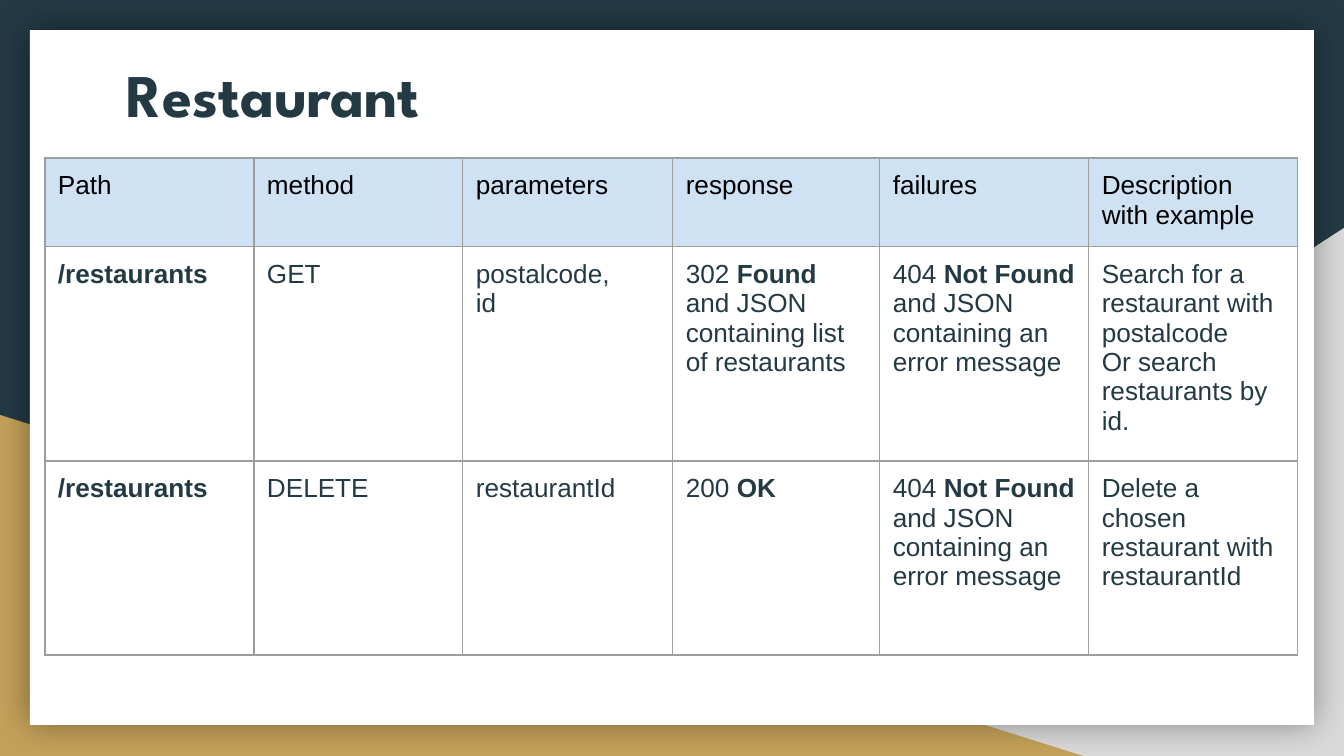
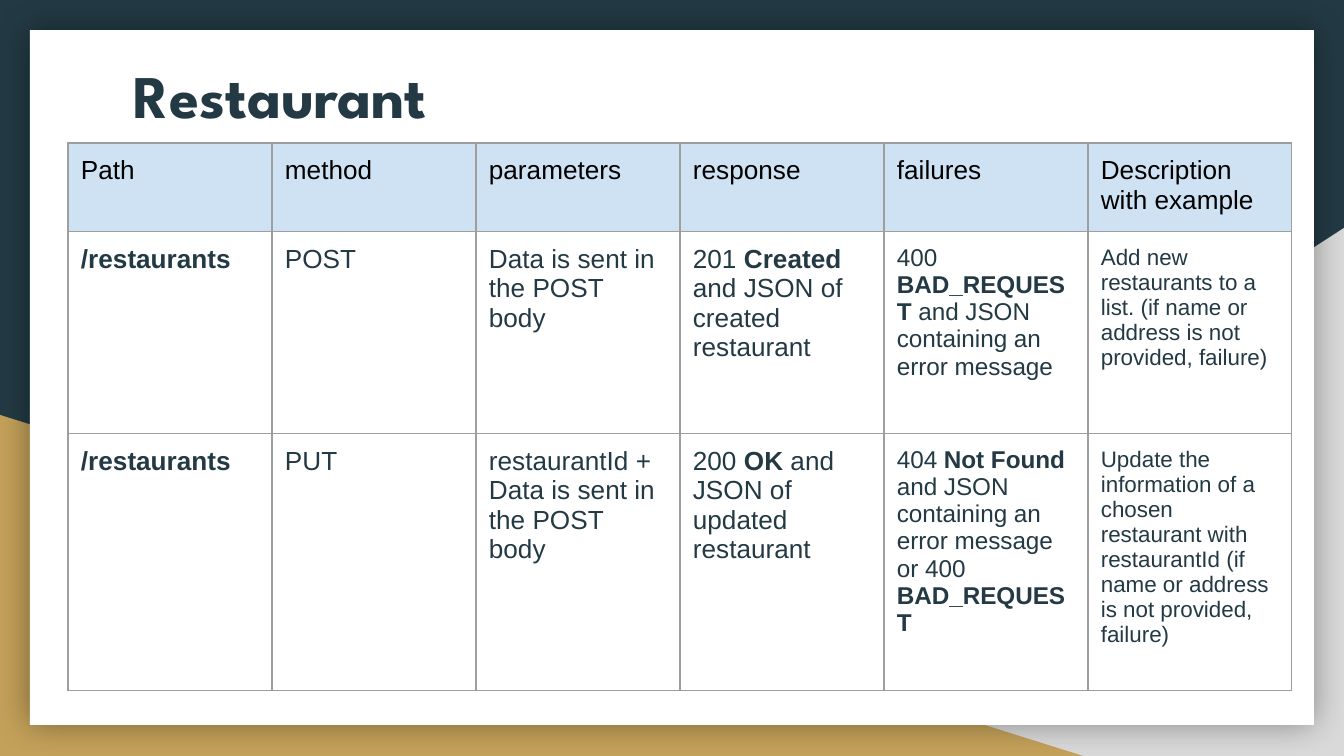
import lxml.etree
import pptx
import pptx.dml.color
import pptx.enum.shapes
import pptx.enum.text
import pptx.oxml.ns
import pptx.util

EMU_PER_PX = 914400 / 134.4
INSET = 13
COLOURS = {
    "navy": "233A44",
    "grey": "D9D9D9",
    "gold": "C4A15A",
    "white": "FFFFFF",
    "black": "000000",
    "header": "CFE2F3",
    "border": "9E9E9E",
}
HEADINGS = ["Path", "method", "parameters", "response", "failures",
            "Description with example"]
NOT_FOUND = "404 **Not Found **and JSON\ncontaining an error message"

# Each cell is its text, or (text, size); ** switches bold on and off
FIND_AND_DELETE = [
    ["**/restaurants**", "GET", "postalcode,\nid",
     "302 **Found** and JSON containing list of restaurants", NOT_FOUND,
     "Search for a restaurant with postalcode\nOr search restaurants by id."],
    ["**/restaurants**", "DELETE", "restaurantId", "200 **OK**", NOT_FOUND,
     "Delete a chosen restaurant with restaurantId"],
]
ADD_AND_UPDATE = [
    ["**/restaurants**", "POST", "Data is sent in the POST body",
     "201 **Created **and JSON of created restaurant",
     ("400 **BAD_REQUEST** and JSON containing an error message", 13),
     ("Add new restaurants to a list. (if name or address is not provided, "
      "failure)", 12)],
    ["**/restaurants**", "PUT", "restaurantId +\nData is sent in the POST body",
     "200 **OK** and JSON of updated restaurant",
     (NOT_FOUND + " or 400 **BAD_REQUEST**", 13),
     ("Update the information of a chosen restaurant with restaurantId "
      "(if name or address is not provided, failure)", 12)],
]


def px(length):
    return pptx.util.Emu(round(length * EMU_PER_PX))


def rgb(name):
    return pptx.dml.color.RGBColor.from_string(COLOURS[name])


def add_xml(parent, tag, **attributes):
    return lxml.etree.SubElement(parent, pptx.oxml.ns.qn(tag), attributes)


def write_text(frame, text, size=14, font="Arial", colour="navy"):
    """Write one paragraph per line, with bold between ** marks."""
    frame.word_wrap = True
    for number, line in enumerate(text.split("\n")):
        para = frame.add_paragraph() if number else frame.paragraphs[0]
        for part, words in enumerate(line.split("**")):
            if words:
                span = para.add_run()
                span.text = words
                span.font.size = pptx.util.Pt(size)
                span.font.name = font
                span.font.bold = part % 2 == 1
                span.font.color.rgb = rgb(colour)


def set_margins(holder):
    for side in ("left", "right", "top", "bottom"):
        setattr(holder, "margin_" + side, px(INSET))


def add_block(page, kind, left, top, width, height, colour, flip=False):
    block = page.shapes.add_shape(kind, px(left), px(top), px(width), px(height))
    block.shadow.inherit = False
    block.fill.solid()
    block.fill.fore_color.rgb = rgb(colour)
    block.line.fill.background()
    if flip:
        block._element.spPr.xfrm.set("flipH", "1")
    return block


def add_glow(block):
    effects = block._element.spPr.find(pptx.oxml.ns.qn("a:effectLst"))
    shadow = add_xml(effects, "a:outerShdw", blurRad=str(pptx.util.Pt(18)),
                     dist="0", dir="0", algn="ctr", rotWithShape="0")
    colour = add_xml(shadow, "a:srgbClr", val=COLOURS["black"])
    add_xml(colour, "a:alpha", val="40000")


def add_page(deck):
    """Add a blank page with the triangles and the white card."""
    page = deck.slides.add_slide(deck.slide_layouts[6])
    page.background.fill.solid()
    page.background.fill.fore_color.rgb = rgb("navy")
    kinds = pptx.enum.shapes.MSO_SHAPE
    add_block(page, kinds.RIGHT_TRIANGLE, 527, 228, 817, 528, "grey", flip=True)
    add_block(page, kinds.RIGHT_TRIANGLE, 0, 415, 1083, 341, "gold")
    add_glow(add_block(page, kinds.RECTANGLE, 30, 30, 1284, 695, "white"))
    return page


def add_title(page, text, left, top):
    box = page.shapes.add_textbox(px(left), px(top), px(1104), px(140))
    frame = box.text_frame
    set_margins(frame)
    frame.vertical_anchor = pptx.enum.text.MSO_ANCHOR.TOP
    write_text(frame, f"**{text}**", size=32.4, font="League Spartan")


def add_borders(cell):
    properties = cell._tc.get_or_add_tcPr()
    for place, side in enumerate(("a:lnL", "a:lnR", "a:lnT", "a:lnB")):
        line = add_xml(properties, side, w=str(pptx.util.Pt(0.75)))
        fill = add_xml(line, "a:solidFill")
        add_xml(fill, "a:srgbClr", val=COLOURS["border"])
        properties.insert(place, line)


def add_endpoint_table(page, left, top, widths, heights, endpoints):
    rows = [HEADINGS] + endpoints
    table = page.shapes.add_table(
        len(rows), len(HEADINGS), px(left), px(top),
        px(sum(widths)), px(sum(heights))).table
    table.first_row = table.horz_banding = False
    for column, width in zip(table.columns, widths):
        column.width = px(width)
    for row, height in zip(table.rows, heights):
        row.height = px(height)
    for r, contents in enumerate(rows):
        for c, content in enumerate(contents):
            text, size = content if isinstance(content, tuple) else (content, 14)
            cell = table.cell(r, c)
            set_margins(cell)
            if r == 0:
                cell.fill.solid()
                cell.fill.fore_color.rgb = rgb("header")
            else:
                cell.fill.background()
            add_borders(cell)
            write_text(cell.text_frame, text, size=size,
                       colour="navy" if r else "black")


def main():
    deck = pptx.Presentation()
    deck.slide_width, deck.slide_height = px(1344), px(756)

    # Finding and deleting restaurants
    page = add_page(deck)
    add_title(page, "Restaurant", 114, 44)
    add_endpoint_table(page, 45, 158, [209, 209, 210, 207, 209, 209],
                       [86, 206, 194], FIND_AND_DELETE)

    # Adding and updating restaurants
    page = add_page(deck)
    add_title(page, "Restaurant", 121, 45)
    add_endpoint_table(page, 68, 143, [204] * 6, [86, 202, 257], ADD_AND_UPDATE)

    deck.save("out.pptx")


if __name__ == "__main__":
    main()
